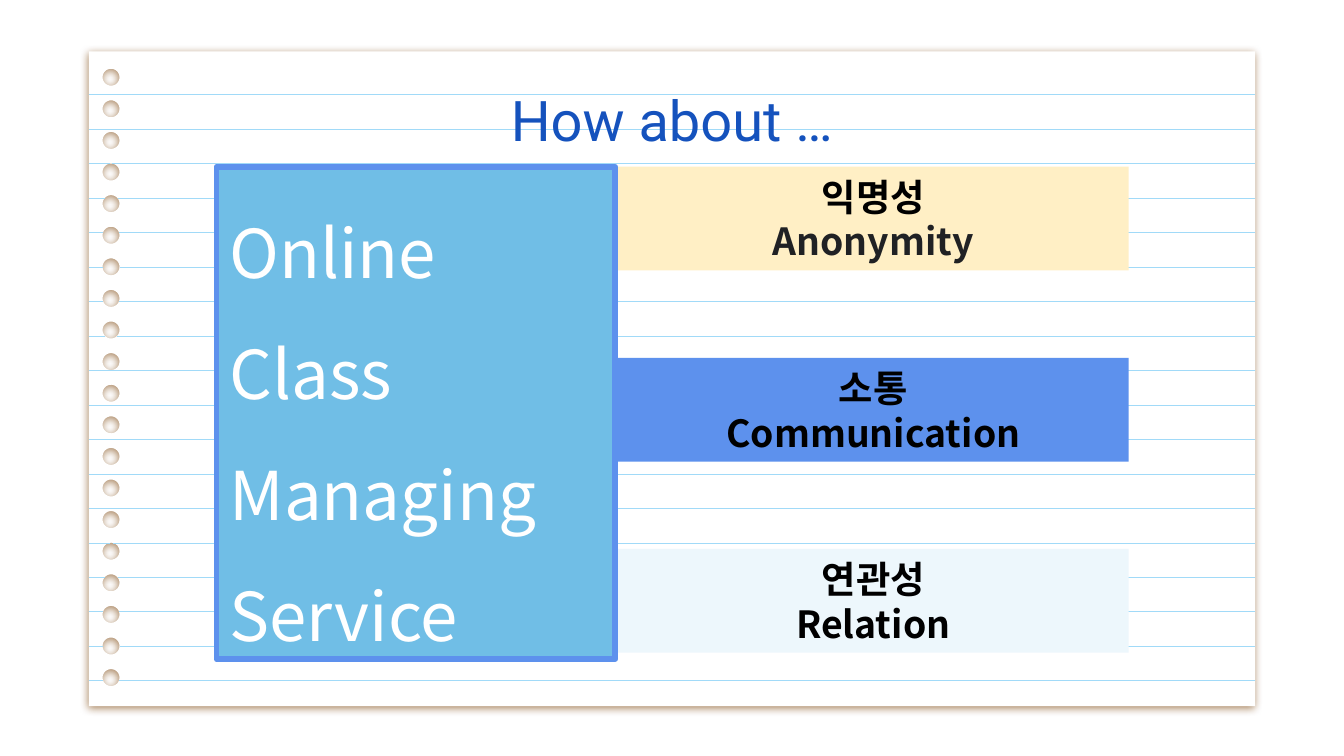
from dataclasses import dataclass
from math import cos, pi, sin, sqrt

from lxml import etree
from pptx import Presentation
from pptx.dml.color import RGBColor
from pptx.enum.shapes import MSO_CONNECTOR, MSO_SHAPE
from pptx.enum.text import MSO_ANCHOR, PP_ALIGN
from pptx.oxml.ns import qn
from pptx.util import Cm, Pt

RECTANGLE = MSO_SHAPE.RECTANGLE
STRAIGHT = MSO_CONNECTOR.STRAIGHT
MIDDLE = MSO_ANCHOR.MIDDLE
LEFT = PP_ALIGN.LEFT
CENTER = PP_ALIGN.CENTER
TITLE_ONLY = 5


@dataclass(frozen=True)
class Theme:
    title_font: str = "Roboto"
    body_font: str = "Noto Sans CJK KR"
    title_size: int = 30
    service_size: int = 36
    quality_size: int = 20
    paper: str = "FFFFFF"
    paper_shadow: str = "783F04"
    rule: str = "A1DAF8"
    title: str = "1552BD"
    service: str = "70BEE6"
    accent: str = "5D91ED"
    cream: str = "FFEFC5"
    pale: str = "EDF7FC"
    light_text: str = "FFFFFF"
    dark_text: str = "000000"
    soft_text: str = "202124"


THEME = Theme()

PAPER_LEFT, PAPER_TOP, PAPER_RIGHT, PAPER_BOTTOM = 1.68, 0.97, 23.72, 13.34
HOLE_X, HOLE_RADIUS, HOLE_SIDES = 2.1, 0.16, 32


def spread(first, last, count):
    return [first + i * (last - first) / (count - 1) for i in range(count)]


HOLE_CENTERS = spread(1.46, 12.8, 20)
RULE_HEIGHTS = spread(1.79, 12.86, 18)


def rgb(color):
    return RGBColor.from_string(color)


def format_paragraph(paragraph, font_name, size, color, align, bold=False):
    paragraph.alignment = align
    for run in paragraph.runs:
        font = run.font
        font.name, font.size, font.bold = font_name, Pt(size), bold
        font.color.rgb = rgb(color)
        east_asian = etree.SubElement(run._r.get_or_add_rPr(), qn("a:ea"))
        east_asian.set("typeface", font_name)


def add_paper_shadow(paper):
    paper.shadow.inherit = False
    effects = paper._element.spPr.find(qn("a:effectLst"))
    shadow = etree.SubElement(
        effects, qn("a:outerShdw"), blurRad=str(Pt(4.5)), dist=str(Pt(1.5)),
        dir="5400000", algn="bl", rotWithShape="0")
    color = etree.SubElement(shadow, qn("a:srgbClr"), val=THEME.paper_shadow)
    etree.SubElement(color, qn("a:alpha"), val="61000")


def add_paper(slide):
    outline = slide.shapes.build_freeform(Cm(PAPER_LEFT), Cm(PAPER_TOP))
    outline.add_line_segments([
        (Cm(PAPER_LEFT), Cm(PAPER_BOTTOM)),
        (Cm(PAPER_RIGHT), Cm(PAPER_BOTTOM)),
        (Cm(PAPER_RIGHT), Cm(PAPER_TOP)),
    ])
    angles = [2 * pi * i / HOLE_SIDES for i in range(HOLE_SIDES)]
    for center in HOLE_CENTERS:
        rim = [(Cm(HOLE_X + HOLE_RADIUS * cos(a)),
                Cm(center + HOLE_RADIUS * sin(a))) for a in angles]
        outline.move_to(*rim[0])
        outline.add_line_segments(rim[1:])
    paper = outline.convert_to_shape()
    paper.fill.solid()
    paper.fill.fore_color.rgb = rgb(THEME.paper)
    paper.line.fill.background()
    add_paper_shadow(paper)


def add_rule(slide, start, end, height):
    rule = slide.shapes.add_connector(
        STRAIGHT, Cm(start), Cm(height), Cm(end), Cm(height))
    rule.line.color.rgb = rgb(THEME.rule)
    rule.line.width = Pt(0.4)
    etree.SubElement(rule._element.spPr, qn("a:effectLst"))


def add_rules(slide):
    for height in RULE_HEIGHTS:
        start = PAPER_LEFT
        offset = min(abs(height - center) for center in HOLE_CENTERS)
        if offset < HOLE_RADIUS:
            half_gap = sqrt(HOLE_RADIUS ** 2 - offset ** 2)
            add_rule(slide, start, HOLE_X - half_gap, height)
            start = HOLE_X + half_gap
        add_rule(slide, start, PAPER_RIGHT, height)


def place_title(slide, text):
    title = slide.shapes.title
    title.left, title.top = Cm(2.49), Cm(1.37)
    title.width, title.height = Cm(20.42), Cm(1.75)
    frame = title.text_frame
    frame.text = text
    frame.vertical_anchor = MIDDLE
    format_paragraph(frame.paragraphs[0], THEME.title_font, THEME.title_size,
                     THEME.title, CENTER)
    slide.shapes._spTree.append(title._element)


def add_panel(slide, left, top, width, height, fill, text):
    panel = slide.shapes.add_shape(
        RECTANGLE, Cm(left), Cm(top), Cm(width), Cm(height))
    panel.shadow.inherit = False
    panel.fill.solid()
    panel.fill.fore_color.rgb = rgb(fill)
    panel.line.fill.background()
    frame = panel.text_frame
    frame.word_wrap = True
    frame.vertical_anchor = MIDDLE
    frame.text = text
    return panel


def add_quality(slide, top, fill, korean, english, english_color):
    panel = add_panel(slide, 11.68, top, 9.65, 1.96, fill,
                      f"{korean}\n{english}")
    colors = (THEME.dark_text, english_color)
    for paragraph, color in zip(panel.text_frame.paragraphs, colors):
        format_paragraph(paragraph, THEME.body_font, THEME.quality_size,
                         color, CENTER, bold=True)


def add_service(slide, words):
    panel = add_panel(slide, 4.09, 3.15, 7.54, 9.3, THEME.service,
                      "\n".join(words))
    panel.line.color.rgb = rgb(THEME.accent)
    panel.line.width = Pt(3)
    for paragraph in panel.text_frame.paragraphs:
        paragraph.line_spacing = 1.5
        format_paragraph(paragraph, THEME.body_font, THEME.service_size,
                         THEME.light_text, LEFT)


def main():
    presentation = Presentation()
    presentation.slide_width, presentation.slide_height = Cm(25.4), Cm(14.28)
    slide = presentation.slides.add_slide(
        presentation.slide_layouts[TITLE_ONLY])
    add_paper(slide)
    add_rules(slide)
    place_title(slide, "How about …")
    qualities = [
        (THEME.cream, "익명성", "Anonymity", THEME.soft_text),
        (THEME.accent, "소통", "Communication", THEME.dark_text),
        (THEME.pale, "연관성", "Relation", THEME.dark_text),
    ]
    for row, quality in enumerate(qualities):
        add_quality(slide, 3.15 + row * 3.61, *quality)
    add_service(slide, ["Online", "Class", "Managing", "Service"])
    presentation.save("out.pptx")


if __name__ == "__main__":
    main()
